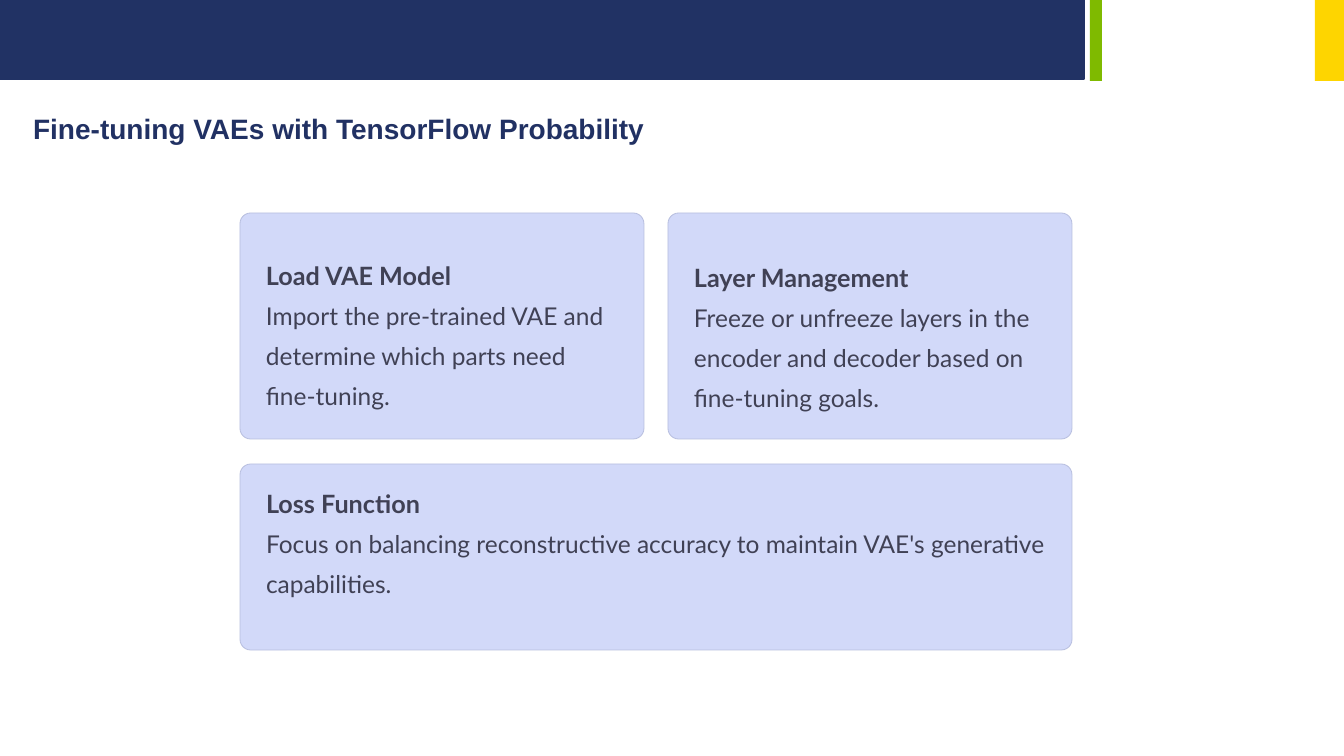
import pptx
import pptx.util
import pptx.dml.color
import pptx.enum.shapes
import pptx.enum.text

SLIDE_WIDTH, SLIDE_HEIGHT = 1344, 756
EMU_PER_PX = 914400 / 100.8
CORNER_RADIUS = 10.6
CARD_PADDING = 26
COLORS = {
    "navy": "213264",
    "title": "213163",
    "green": "7FBA00",
    "yellow": "FED500",
    "card": "D2D9F9",
    "card_line": "B8BFDF",
    "text": "404155",
}
BANDS = [
    # left, width, height, fill, line
    (0, 1084, 79, "navy", "navy"),
    (1090, 12, 81, "green", None),
    (1315, 29, 81, "yellow", None),
]
CARDS = [
    # left, top, width, height, text top, heading, description
    (240, 213, 404, 226, 251, "Load VAE Model",
     "Import the pre-trained VAE and determine which parts need fine-tuning."),
    (668, 213, 404, 226, 253, "Layer Management",
     "Freeze or unfreeze layers in the encoder and decoder based on fine-tuning goals."),
    (240, 464, 832, 186, 479, "Loss Function",
     "Focus on balancing reconstructive accuracy to maintain VAE's generative capabilities."),
]


def px(length):
    return pptx.util.Emu(round(length * EMU_PER_PX))


def color(name):
    return pptx.dml.color.RGBColor.from_string(COLORS[name])


def write(paragraph, text, *, size, font, fill, bold=False, spacing=None):
    paragraph.alignment = pptx.enum.text.PP_ALIGN.LEFT
    if spacing:
        paragraph.line_spacing = pptx.util.Pt(spacing)
    run = paragraph.add_run()
    run.text = text
    run.font.name = font
    run.font.size = pptx.util.Pt(size)
    run.font.bold = bold
    run.font.color.rgb = color(fill)


def add_box(slide, kind, left, top, width, height, fill, line=None, line_width=1):
    shape = slide.shapes.add_shape(kind, px(left), px(top), px(width), px(height))
    shape.shadow.inherit = False
    shape.fill.solid()
    shape.fill.fore_color.rgb = color(fill)
    if line:
        shape.line.color.rgb = color(line)
        shape.line.width = pptx.util.Pt(line_width)
    else:
        shape.line.fill.background()
    return shape


def add_title(slide, text):
    title = slide.shapes.title
    title.left, title.top, title.width, title.height = px(23), px(106), px(651), px(44)
    title.text_frame.vertical_anchor = pptx.enum.text.MSO_ANCHOR.TOP
    write(title.text_frame.paragraphs[0], text, size=20, font="Arial", fill="title", bold=True)


def add_card(slide, left, top, width, height, text_top, heading, description):
    card = add_box(slide, pptx.enum.shapes.MSO_SHAPE.ROUNDED_RECTANGLE,
                   left, top, width, height, "card", "card_line", 0.6)
    card.adjustments[0] = CORNER_RADIUS / min(width, height)

    text_box = slide.shapes.add_textbox(
        px(left + CARD_PADDING), px(text_top),
        px(width - 2 * CARD_PADDING), px(top + height - text_top - CARD_PADDING))
    frame = text_box.text_frame
    frame.word_wrap = True
    frame.margin_left = frame.margin_top = frame.margin_right = frame.margin_bottom = 0
    style = {"font": "Lato", "fill": "text", "spacing": 28.5}
    write(frame.paragraphs[0], heading, size=18, bold=True, **style)
    write(frame.add_paragraph(), description, size=17.5, **style)


def main():
    presentation = pptx.Presentation()
    presentation.slide_width = px(SLIDE_WIDTH)
    presentation.slide_height = px(SLIDE_HEIGHT)
    slide = presentation.slides.add_slide(presentation.slide_layouts.get_by_name("Title Only"))

    for left, width, height, fill, line in BANDS:
        add_box(slide, pptx.enum.shapes.MSO_SHAPE.RECTANGLE,
                left, 0, width, height, fill, line, 2)
    add_title(slide, "Fine-tuning VAEs with TensorFlow Probability")
    for card in CARDS:
        add_card(slide, *card)

    presentation.save("out.pptx")


if __name__ == "__main__":
    main()
